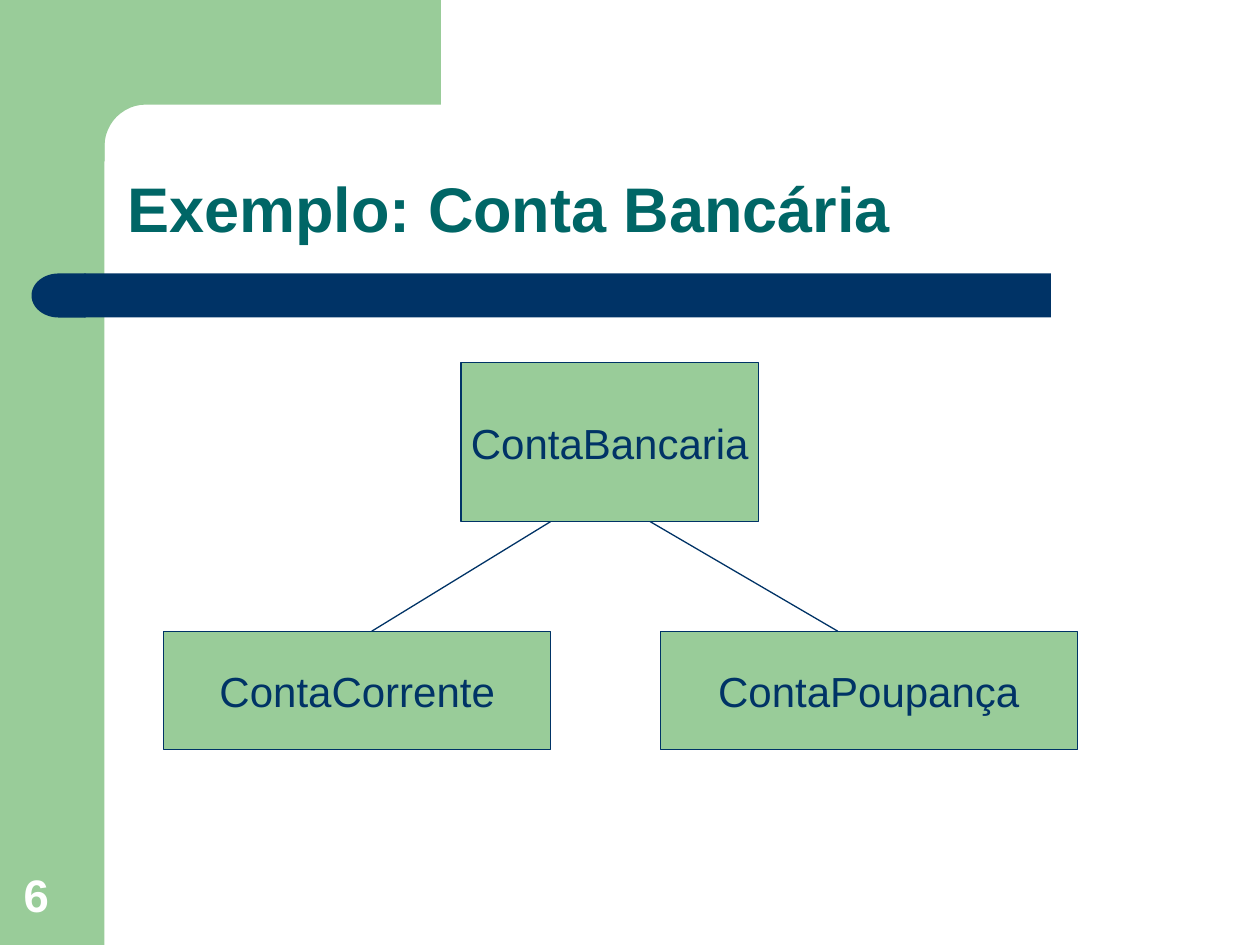
from dataclasses import dataclass
from math import cos, pi, sin

from lxml import etree
from pptx import Presentation
from pptx.dml.color import RGBColor
from pptx.enum.shapes import MSO_CONNECTOR, MSO_SHAPE
from pptx.enum.text import MSO_ANCHOR, PP_ALIGN
from pptx.oxml.ns import qn
from pptx.util import Inches, Pt

RECT, DELAY = MSO_SHAPE.RECTANGLE, MSO_SHAPE.FLOWCHART_DELAY
STRAIGHT = MSO_CONNECTOR.STRAIGHT
MIDDLE, BOTTOM = MSO_ANCHOR.MIDDLE, MSO_ANCHOR.BOTTOM
LEFT, CENTER = PP_ALIGN.LEFT, PP_ALIGN.CENTER


@dataclass(frozen=True)
class Theme:
    font: str = "Arial"
    green: RGBColor = RGBColor(0x99, 0xCC, 0x99)
    navy: RGBColor = RGBColor(0x00, 0x33, 0x66)
    teal: RGBColor = RGBColor(0x00, 0x66, 0x66)
    white: RGBColor = RGBColor(0xFF, 0xFF, 0xFF)
    title_size: Pt = Pt(36)
    number_size: Pt = Pt(26)
    node_size: Pt = Pt(24)
    line_width: Pt = Pt(0.75)


THEME = Theme()


def inches(*values):
    return [Inches(v) for v in values]


def fill_plain(sp, color):
    sp.shadow.inherit = False
    sp.fill.solid()
    sp.fill.fore_color.rgb = color
    sp.line.fill.background()


def add_block(s, kind, box, color):
    sp = s.shapes.add_shape(kind, *inches(*box))
    fill_plain(sp, color)
    return sp


def write(sp, text, size, color, anchor, align=LEFT, bold=False, wrap=True):
    tf = sp.text_frame
    tf.text = text
    tf.word_wrap = wrap
    tf.vertical_anchor = anchor
    p = tf.paragraphs[0]
    p.alignment = align
    p.font.name, p.font.size, p.font.bold = THEME.font, size, bold
    p.font.color.rgb = color
    return p


def add_frame(s, box, band, top_width, radius):
    """Side band and top band, joined by a rounded inner corner."""
    x, y, _, height = box
    add_block(s, RECT, (x, y, band, height), THEME.green)
    inner_x, inner_y = x + band, y + band
    center_x, center_y = inner_x + radius, inner_y + radius
    steps = 12
    angles = [pi / 2 * i / steps for i in range(steps + 1)]
    arc = [(center_x - radius * sin(a), center_y - radius * cos(a)) for a in angles]
    right, start = x + top_width, x + 0.5
    points = [(right, inner_y), *arc, (inner_x, 1.28), (start, 1.28), (start, y)]
    builder = s.shapes.build_freeform(Inches(right), Inches(y))
    builder.add_line_segments([inches(*point) for point in points])
    fill_plain(builder.convert_to_shape(), THEME.green)


def add_title_bar(s, box, cap_width):
    x, y, width, height = box
    body_x = x + cap_width - 0.01
    add_block(s, RECT, (body_x, y, x + width - body_x, height), THEME.navy)
    cap = add_block(s, DELAY, (x, y, cap_width, height), THEME.navy)
    cap.rotation = 180


def add_title(s, box, text):
    title = s.shapes.title
    title.left, title.top, title.width, title.height = inches(*box)
    p = write(title, text, THEME.title_size, THEME.teal, BOTTOM, bold=True)
    p.line_spacing = 0.9


def add_number(s, box, text):
    sp = s.shapes.add_textbox(*inches(*box))
    write(sp, text, THEME.number_size, THEME.white, BOTTOM, bold=True)


def add_node(s, box, text):
    sp = add_block(s, RECT, box, THEME.green)
    sp.line.color.rgb = THEME.navy
    sp.line.width = THEME.line_width
    write(sp, text, THEME.node_size, THEME.navy, MIDDLE, CENTER, wrap=False)


def add_link(s, start, end):
    link = s.shapes.add_connector(STRAIGHT, *inches(*start, *end))
    link.line.color.rgb = THEME.navy
    link.line.width = THEME.line_width
    etree.SubElement(link._element.spPr, qn("a:effectLst"))


def add_class_tree(s, box):
    """One parent class above two subclasses, joined by lines."""
    x, y, width, height = box
    parent_height, child_height = 1.26, 0.94
    parent_bottom, child_top = y + parent_height, y + height - child_height
    add_node(s, (x + 2.36, y, 2.36, parent_height), "ContaBancaria")
    children = [
        ("ContaCorrente", x, 3.07, 3.07, 1.65),
        ("ContaPoupança", x + width - 3.31, 3.31, 3.86, 5.35),
    ]
    for name, left, child_width, link_start, link_end in children:
        add_node(s, (left, child_top, child_width, child_height), name)
        add_link(s, (x + link_start, parent_bottom), (x + link_end, child_top))


def main():
    prs = Presentation()
    prs.slide_width, prs.slide_height = inches(10, 7.5)
    s = prs.slides.add_slide(prs.slide_layouts[5])
    add_frame(s, (0, 0, 10, 7.5), band=0.83, top_width=3.5, radius=0.33)
    add_title_bar(s, (0.25, 2.17, 8.09, 0.35), cap_width=0.43)
    add_number(s, (0.09, 6.83, 0.64, 0.53), "6")
    add_title(s, (0.91, 0.91, 8.51, 1.09), "Exemplo: Conta Bancária")
    add_class_tree(s, (1.3, 2.88, 7.25, 3.07))
    prs.save("out.pptx")


if __name__ == "__main__":
    main()
